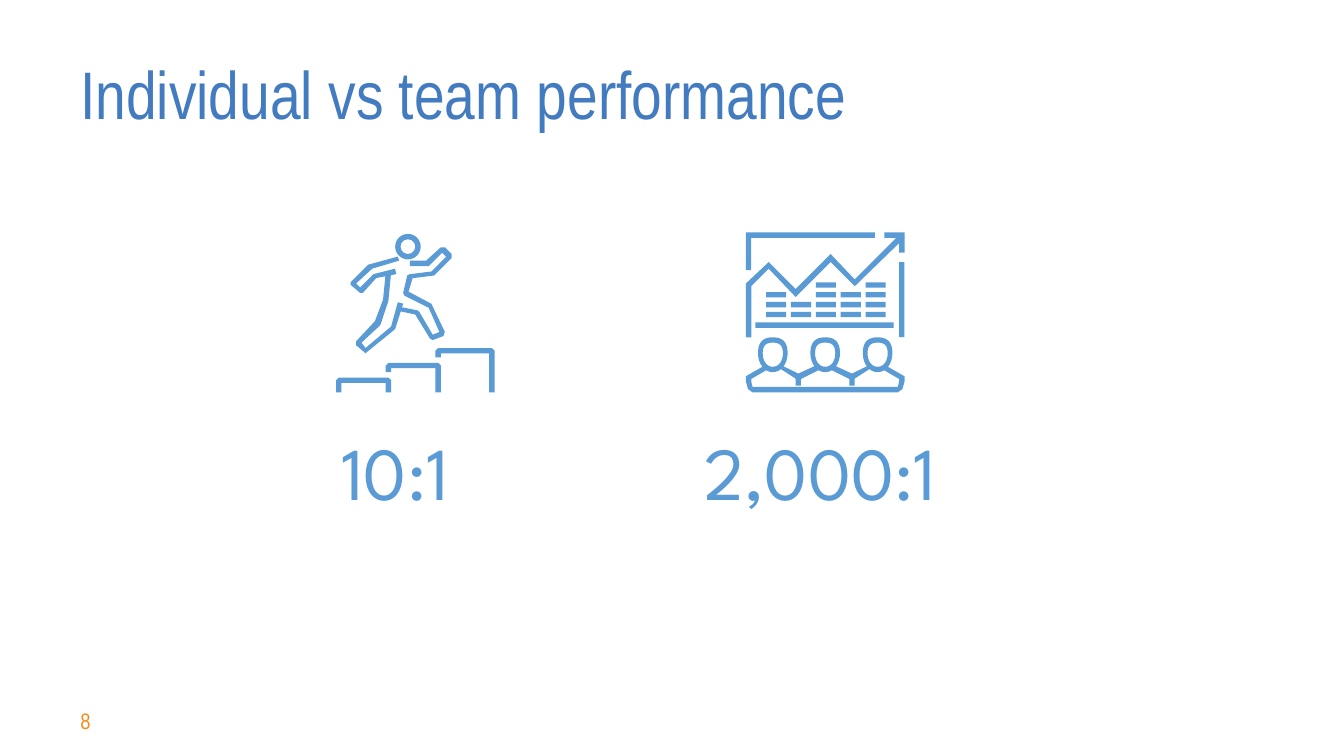
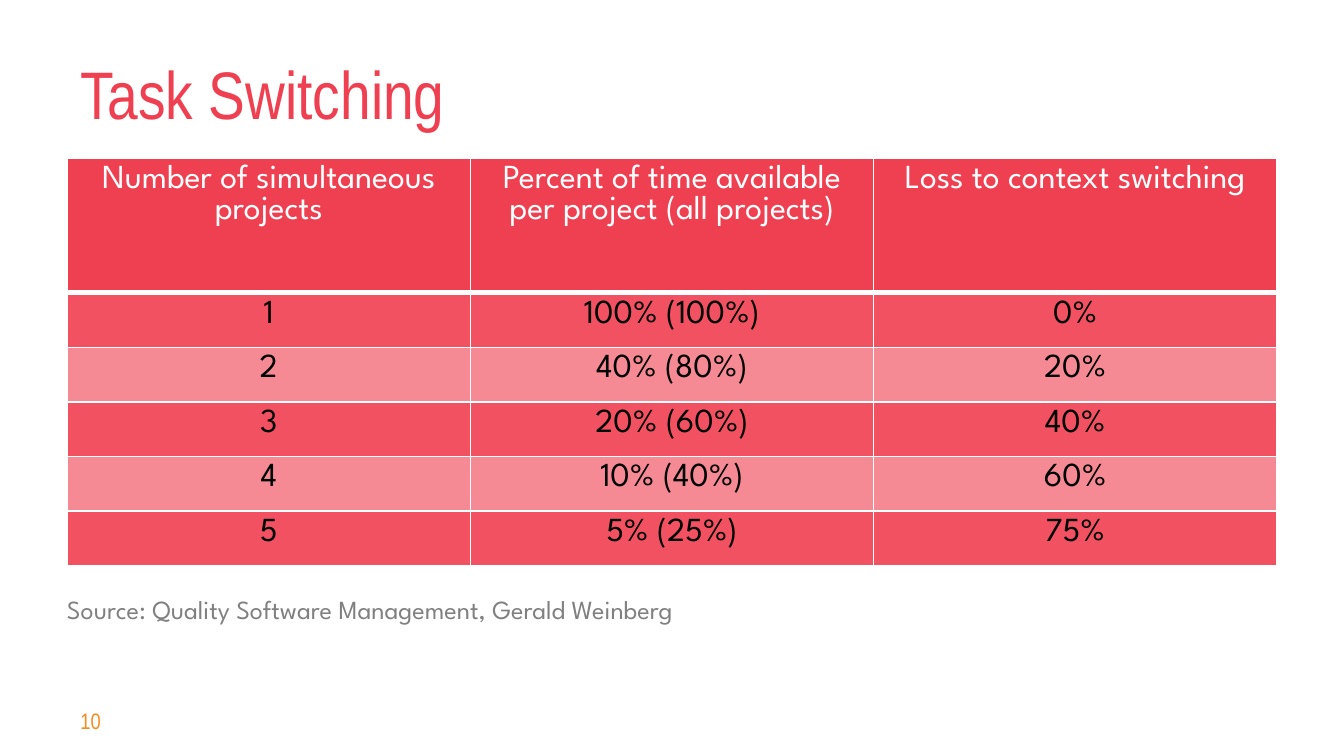
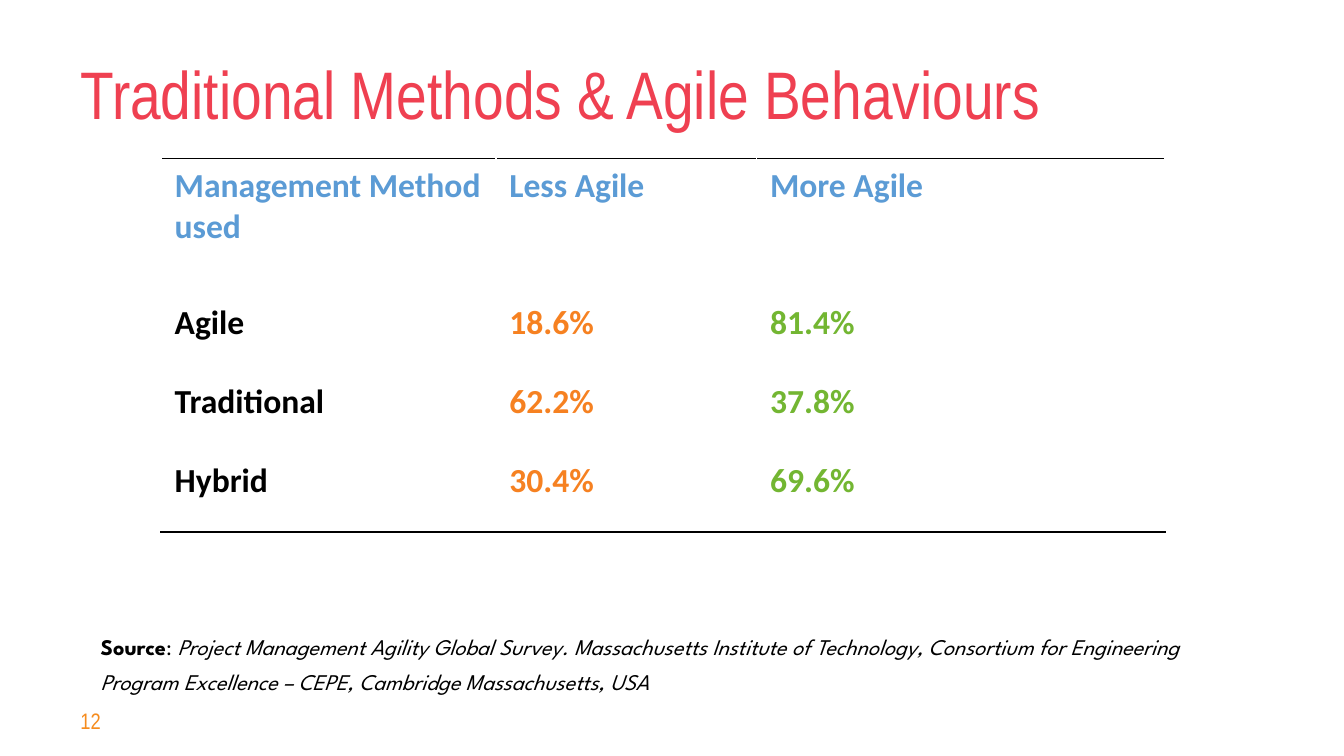
from dataclasses import dataclass, replace
from typing import Optional

from lxml.etree import SubElement
from pptx import Presentation
from pptx.dml.color import RGBColor
from pptx.enum.shapes import MSO_SHAPE
from pptx.enum.text import MSO_ANCHOR, PP_ALIGN
from pptx.oxml.ns import qn
from pptx.util import Inches, Pt

SLIDE_WIDTH = Inches(10)
SLIDE_HEIGHT = SLIDE_WIDTH * 9 // 16
COLUMNS = 100
CELL = SLIDE_WIDTH // COLUMNS

WHITE = RGBColor(0xFF, 0xFF, 0xFF)
BLACK = RGBColor(0, 0, 0)
GRAY = RGBColor(0x80, 0x80, 0x80)
BLUE = RGBColor(0x42, 0x7B, 0xBF)
SKY = RGBColor(0x5B, 0x9B, 0xD5)
RED = RGBColor(0xEF, 0x40, 0x51)
ROW_DARK = RGBColor(0xF1, 0x51, 0x60)
ROW_LIGHT = RGBColor(0xF6, 0x8A, 0x94)
AMBER = RGBColor(0xF6, 0x8C, 0x1E)
ORANGE = RGBColor(0xF6, 0x81, 0x21)
GREEN = RGBColor(0x73, 0xB6, 0x32)

NARROW = "Arial Narrow"
SPARTAN = "League Spartan"
CALIBRI = "Calibri"
SPARTAN_SPACING = 1.3

Point = tuple[float, float]
Outline = list[Point]


@dataclass(frozen=True)
class Area:
    left: float
    top: float
    width: float
    height: float

    def lengths(self) -> tuple[int, int, int, int]:
        return cells(self.left), cells(self.top), cells(self.width), cells(self.height)


@dataclass(frozen=True)
class TextStyle:
    size: int
    font: str
    color: RGBColor
    bold: bool = False
    italic: bool = False


@dataclass(frozen=True)
class Border:
    color: RGBColor
    width: float


@dataclass(frozen=True)
class CellLook:
    style: TextStyle
    fill: Optional[RGBColor] = None
    align: PP_ALIGN = PP_ALIGN.LEFT


TITLE_AREA = Area(5, 2.3, 90, 8.1)
NUMBER_AREA = Area(5, 52.1, 10.7, 3)
NUMBER_STYLE = TextStyle(12, NARROW, AMBER)
RATIO_STYLE = TextStyle(40, SPARTAN, SKY)

STROKE = 0.4
ICON_BOTTOM = 29.2
STAIRS = [(25, 28.1, 29.1, ICON_BOTTOM), (28.7, 27, 32.8, 27.7), (32.4, 25.9, 36.8, 26.6)]
RUNNER_HEAD = Area(29.4, 17.4, 1.9, 1.9)
RUNNER_LIMBS = [
    [(26.8, 21.8), (26.1, 21.2), (26.1, 21), (27.4, 19.7), (29.6, 19.1), (29.7, 19.4),
     (27.7, 20), (26.5, 21.1), (26.8, 21.4), (27.8, 20.4), (29.4, 20), (29.5, 20.4),
     (28, 20.7), (27, 21.8)],
    [(32.2, 25.3), (32, 25.2), (30.9, 23.4), (29.5, 23.1), (29.6, 22.8), (31.1, 23.1),
     (31.2, 23.2), (32.2, 24.9), (32.7, 24.7), (31.9, 22.9), (30.1, 22), (30, 21.8),
     (30.3, 20.5), (30.5, 20.4), (32.1, 20.2), (33.2, 19.1), (32.9, 18.8), (31.9, 19.8),
     (30.5, 19.8), (30.5, 19.4), (31.7, 19.4), (32.8, 18.4), (33.1, 18.4), (33.6, 18.9),
     (33.6, 19.2), (32.3, 20.5), (30.7, 20.7), (30.4, 21.7), (32.1, 22.6), (33.1, 24.7),
     (33, 25)],
    [(27.2, 26.3), (27.1, 26.2), (26.5, 25.7), (26.5, 25.4), (27.9, 23.9), (28.5, 22.3),
     (28.7, 20.3), (29.1, 20.3), (28.9, 22.4), (28.3, 24.2), (26.9, 25.5), (27.2, 25.9),
     (29.1, 24.3), (29.6, 22.5), (30, 22.6), (29.4, 24.5), (27.3, 26.2)],
]

BOARD_LINES = [
    [(67.3, 18.8), (66.9, 18.8), (66.9, 17.7), (65.8, 17.7), (65.8, 17.3), (67.3, 17.3)],
    [(55.9, 20.1), (55.5, 20.1), (55.5, 17.3), (65.1, 17.3), (65.1, 17.7), (55.9, 17.7)],
    [(55.9, 25.1), (55.5, 25.1), (55.5, 21.1), (57.2, 19.5), (59.2, 21.5), (61.8, 18.9),
     (63.6, 20.8), (67, 17.4), (67.3, 17.7), (63.6, 21.3), (61.8, 19.5), (59.2, 22.1),
     (57.2, 20), (55.9, 21.3)],
]
SHOULDERS = [
    [(59.4, 28.3), (58, 27.4), (58.2, 27.2), (59.4, 27.8), (60.7, 27.2), (61, 27.5)],
    [(66.8, 29.2), (56, 29.2), (55.65, 28.95), (55.5, 28.4), (55.5, 28), (56.9, 27.2),
     (57.1, 27.5), (55.9, 28.2), (55.9, 28.4), (56, 28.8), (66.8, 28.8), (66.9, 28.4),
     (66.9, 28.2), (65.7, 27.5), (65.9, 27.2), (67.3, 28), (67.3, 28.4), (67.15, 28.95)],
    [(63.4, 28.3), (61.8, 27.5), (62.1, 27.2), (63.4, 27.8), (64.6, 27.2), (64.8, 27.4)],
]
BOARD_BARS = [Area(66.9, 19.5, STROKE, 5.6), Area(56.2, 24, 10.3, STROKE)]
SHOULDER_GAPS = [Area(left, 28.1, STROKE, 0.6) for left in (59.2, 63.2)]
DASH_COUNTS = [3, 2, 4, 3, 4]
HEAD_CENTERS = [57.5, 61.4, 65.3]
HEAD_OUTSIDE = [
    [(0, 27.7), (-0.6, 27.7), (-1.1, 27.1), (-1.1, 26.3)],
    [(-1.1, 26.3), (-1.1, 25.8), (-1, 25.1), (0, 25.1)],
]
HEAD_INSIDE = [
    [(0, 27.3), (-0.5, 27.3), (-0.75, 26.8), (-0.75, 26.3)],
    [(-0.75, 26.3), (-0.75, 25.7), (-0.5, 25.5), (0, 25.5)],
]

SWITCHING_ROWS = [
    ["Number of simultaneous projects", "Percent of time available per project (all projects)",
     "Loss to context switching"],
    ["1", "100% (100%)", "0%"],
    ["2", "40% (80%)", "20%"],
    ["3", "20% (60%)", "40%"],
    ["4", "10% (40%)", "60%"],
    ["5", "5% (25%)", "75%"],
]
METHOD_ROWS = [
    ["Management Method used", "Less Agile", "More Agile"],
    ["Agile", "18.6%", "81.4%"],
    ["Traditional", "62.2%", "37.8%"],
    ["Hybrid", "30.4%", "69.6%"],
]


def cells(count: float) -> int:
    return round(count * CELL)


def apply_style(span, style: TextStyle) -> None:
    font = span.font
    font.name, font.size = style.font, Pt(style.size)
    font.bold, font.italic = style.bold, style.italic
    font.color.rgb = style.color


def add_text(page, area: Area, parts: list[tuple[str, TextStyle]],
             anchor: MSO_ANCHOR = MSO_ANCHOR.TOP, spacing: float = 1.0) -> None:
    frame = page.shapes.add_textbox(*area.lengths()).text_frame
    frame.word_wrap = True
    frame.vertical_anchor = anchor
    para = frame.paragraphs[0]
    para.line_spacing = spacing
    for text, style in parts:
        span = para.add_run()
        span.text = text
        apply_style(span, style)


def add_page(deck, title: str, color: RGBColor, number: int):
    page = deck.slides.add_slide(deck.slide_layouts[6])
    page.background.fill.solid()
    page.background.fill.fore_color.rgb = WHITE
    add_text(page, TITLE_AREA, [(title, TextStyle(36, NARROW, color))], MSO_ANCHOR.BOTTOM)
    add_text(page, NUMBER_AREA, [(str(number), NUMBER_STYLE)], MSO_ANCHOR.MIDDLE)
    return page


def paint(shape) -> None:
    shape.shadow.inherit = False
    shape.fill.solid()
    shape.fill.fore_color.rgb = SKY
    shape.line.fill.background()


def add_outline(group, *outlines: Outline) -> None:
    builder = None
    for outline in outlines:
        start, *rest = [(cells(x), cells(y)) for x, y in outline]
        if builder is None:
            builder = group.shapes.build_freeform(*start)
        else:
            builder.move_to(*start)
        builder.add_line_segments(rest, close=True)
    paint(builder.convert_to_shape())


def add_bar(group, area: Area) -> None:
    paint(group.shapes.add_shape(MSO_SHAPE.RECTANGLE, *area.lengths()))


def stair_outline(left: float, top: float, right: float, left_bottom: float) -> Outline:
    inner_left, inner_right, inner_top = left + STROKE, right - STROKE, top + STROKE
    return [(right, ICON_BOTTOM), (inner_right, ICON_BOTTOM), (inner_right, inner_top),
            (inner_left, inner_top), (inner_left, left_bottom), (left, left_bottom),
            (left, top + 0.2), (left + 0.2, top), (right - 0.2, top), (right, top + 0.2)]


def bezier(controls: Outline, steps: int = 8) -> Outline:
    points = []
    for step in range(steps + 1):
        t = step / steps
        weights = ((1 - t) ** 3, 3 * t * (1 - t) ** 2, 3 * t * t * (1 - t), t ** 3)
        points.append((sum(w * x for w, (x, _) in zip(weights, controls)),
                       sum(w * y for w, (_, y) in zip(weights, controls))))
    return points


def head_outline(center: float, curves: list[Outline]) -> Outline:
    half = [point for curve in curves for point in bezier(curve)]
    return [(center + x, y) for x, y in half] + [(center - x, y) for x, y in reversed(half)]


def add_runner(page) -> None:
    group = page.shapes.add_group_shape()
    for stair in STAIRS:
        add_outline(group, stair_outline(*stair))
    head = group.shapes.add_shape(MSO_SHAPE.DONUT, *RUNNER_HEAD.lengths())
    head.adjustments[0] = STROKE / RUNNER_HEAD.width
    paint(head)
    for limb in RUNNER_LIMBS:
        add_outline(group, limb)


def add_audience(page) -> None:
    group = page.shapes.add_group_shape()
    for outline in BOARD_LINES + SHOULDERS:
        add_outline(group, outline)
    for center in HEAD_CENTERS:
        add_outline(group, head_outline(center, HEAD_OUTSIDE), head_outline(center, HEAD_INSIDE))
    for bar in BOARD_BARS + SHOULDER_GAPS:
        add_bar(group, bar)
    for column, count in enumerate(DASH_COUNTS):
        for level in range(count):
            add_bar(group, Area(57 + 1.85 * column, 23.2 - 0.73 * level, 1.5, STROKE))


def set_border(cell, side: str, border: Border) -> None:
    line = SubElement(cell._tc.get_or_add_tcPr(), qn(f"a:ln{side}"), w=str(Pt(border.width)))
    fill = SubElement(line, qn("a:solidFill"))
    SubElement(fill, qn("a:srgbClr"), val=str(border.color))


def fill_cell(cell, text: str, look: CellLook, borders: dict[str, Border]) -> None:
    for side, border in borders.items():
        set_border(cell, side, border)
    if look.fill is None:
        cell.fill.background()
    else:
        cell.fill.solid()
        cell.fill.fore_color.rgb = look.fill
    para = cell.text_frame.paragraphs[0]
    para.text = text
    para.alignment = look.align
    apply_style(para.runs[0], look.style)


def add_grid(page, left: float, top: float, widths: list[float], heights: list[float]):
    area = Area(left, top, sum(widths), sum(heights))
    table = page.shapes.add_table(len(heights), len(widths), *area.lengths()).table
    table.first_row = table.horz_banding = False
    for column, width in zip(table.columns, widths):
        column.width = cells(width)
    for row, height in zip(table.rows, heights):
        row.height = cells(height)
    return table


def build_performance(deck) -> None:
    page = add_page(deck, "Individual vs team performance", BLUE, 8)
    add_runner(page)
    add_audience(page)
    for area, ratio in [(Area(24.4, 29.2, 12.9, 7.7), "10:1"),
                        (Area(51.4, 29.2, 20.7, 7.7), "2,000:1")]:
        add_text(page, area, [(ratio, RATIO_STYLE)], spacing=SPARTAN_SPACING)


def build_switching(deck) -> None:
    page = add_page(deck, "Task Switching", RED, 10)
    table = add_grid(page, 5, 11.8, [30] * 3, [10] + [4.06] * 5)
    header = CellLook(TextStyle(18, SPARTAN, WHITE), RED, PP_ALIGN.CENTER)
    body = replace(header, style=replace(header.style, color=BLACK))
    thin, thick = Border(WHITE, 1), Border(WHITE, 3)
    for row, texts in enumerate(SWITCHING_ROWS):
        look = replace(body, fill=ROW_DARK if row % 2 else ROW_LIGHT) if row else header
        borders = {"L": thin, "R": thin, "T": thin, "B": thin if row else thick}
        for column, text in enumerate(texts):
            fill_cell(table.cell(row, column), text, look, borders)
    source = "Source: Quality Software Management, Gerald Weinberg"
    add_text(page, Area(4, 43, 57.8, 3.4), [(source, TextStyle(14, SPARTAN, GRAY))],
             spacing=SPARTAN_SPACING)


def build_methods(deck) -> None:
    page = add_page(deck, "Traditional Methods & Agile Behaviours", RED, 12)
    table = add_grid(page, 12, 11.8, [24.9, 19.4, 30.4], [10.2] + [5.87] * 3)
    rule = Border(BLACK, 1)
    edges = {0: {"T": rule}, len(METHOD_ROWS) - 1: {"B": rule}}
    for row, texts in enumerate(METHOD_ROWS):
        colors = [BLACK, ORANGE, GREEN] if row else [SKY] * 3
        for column, (text, color) in enumerate(zip(texts, colors)):
            look = CellLook(TextStyle(18, CALIBRI, color, bold=True))
            fill_cell(table.cell(row, column), text, look, edges.get(row, {}))
    plain = TextStyle(12, SPARTAN, BLACK)
    survey = ("Project Management Agility Global Survey. Massachusetts Institute of Technology, "
              "Consortium for Engineering Program Excellence – CEPE, Cambridge Massachusetts, USA")
    parts = [("Source", replace(plain, bold=True)), (": ", plain),
             (survey, replace(plain, italic=True))]
    add_text(page, Area(6.5, 46, 86.7, 5), parts, spacing=SPARTAN_SPACING)


def main() -> None:
    deck = Presentation()
    deck.slide_width, deck.slide_height = SLIDE_WIDTH, SLIDE_HEIGHT
    build_performance(deck)
    build_switching(deck)
    build_methods(deck)
    deck.save("out.pptx")


if __name__ == "__main__":
    main()
